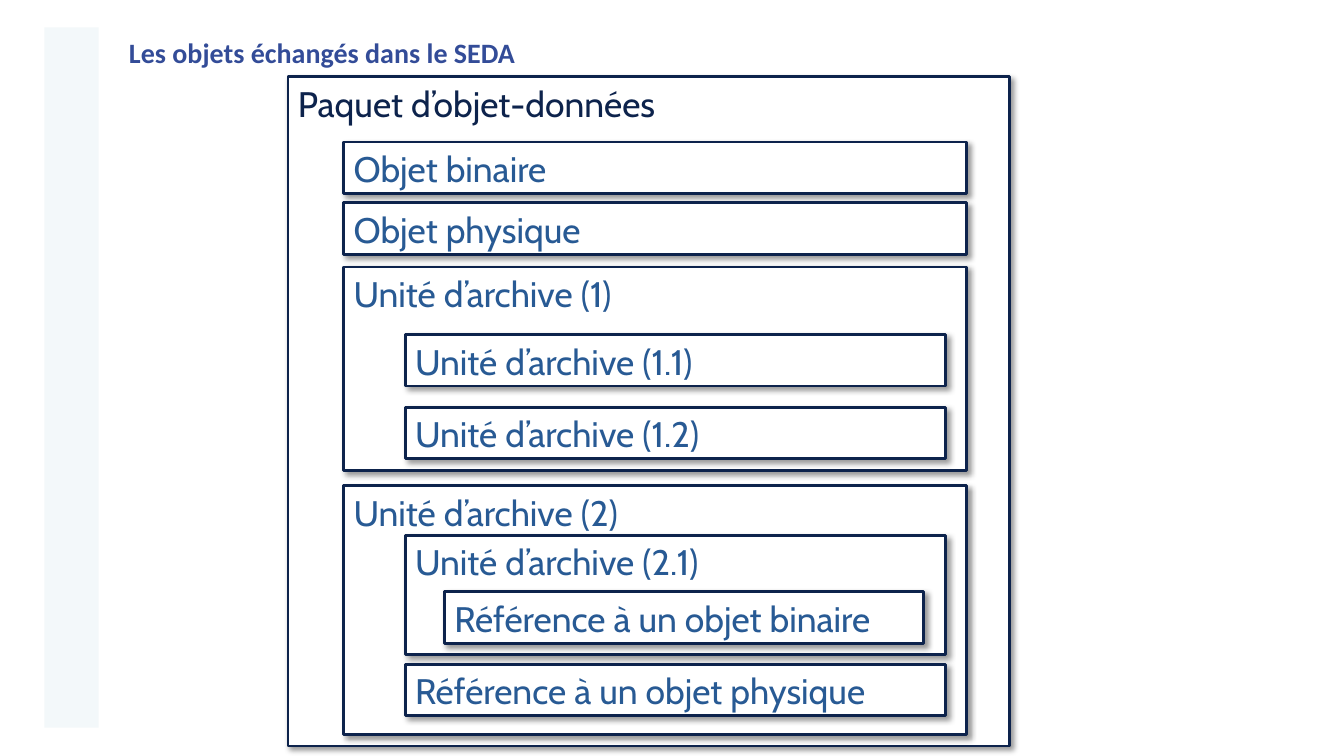
"""Build the slide showing the nested objects exchanged in SEDA."""
from lxml import etree
from pptx import Presentation
from pptx.dml.color import RGBColor
from pptx.enum.shapes import MSO_SHAPE
from pptx.enum.text import MSO_ANCHOR, MSO_AUTO_SIZE, PP_ALIGN
from pptx.oxml.ns import qn
from pptx.util import Cm, Pt

RECTANGLE = MSO_SHAPE.RECTANGLE
TOP, LEFT = MSO_ANCHOR.TOP, PP_ALIGN.LEFT
NO_AUTOFIT = MSO_AUTO_SIZE.NONE

TITLE = "Les objets échangés dans le SEDA"
ROW = 1.3
PACKAGE = ("Paquet d’objet-données", 1.93, 16.87, [
    ("Objet binaire", 3.58, ROW, []),
    ("Objet physique", 5.11, ROW, []),
    ("Unité d’archive (1)", 6.73, 5.13, [
        ("Unité d’archive (1.1)", 8.43, ROW, []),
        ("Unité d’archive (1.2)", 10.26, ROW, []),
    ]),
    ("Unité d’archive (2)", 12.24, 6.27, [
        ("Unité d’archive (2.1)", 13.49, 3, [
            ("Référence à un objet binaire", 14.91, ROW, []),
        ]),
        ("Référence à un objet physique", 16.74, ROW, []),
    ]),
])
LEVELS = [(7.26, 18.19), (8.66, 15.7), (10.21, 13.61), (11.2, 12.07)]

COLORS = {"band": "F3F8FA", "title": "334C98", "paper": "FFFFFF",
          "navy": "0D234C", "blue": "285A94", "shadow": "000000"}
TITLE_FONT = {"name": "Calibri", "size": Pt(20), "bold": True}
BOX_FONT = {"name": "Cabin", "size": Pt(25.3), "bold": False}
FRAME = {"margin_left": Cm(0.25), "margin_right": Cm(0.25),
         "margin_top": Cm(0.13), "margin_bottom": Cm(0.13),
         "word_wrap": True, "auto_size": NO_AUTOFIT, "vertical_anchor": TOP}
SHADOW = {"blurRad": Pt(4), "dist": Pt(3), "dir": 45 * 60000,
          "algn": "tl", "rotWithShape": 0}


def color(name):
    return RGBColor.from_string(COLORS[name])


def apply(target, values):
    for name, value in values.items():
        setattr(target, name, value)


def write(shape, text, font, color_name):
    frame = shape.text_frame
    apply(frame, FRAME)
    para = frame.paragraphs[0]
    para.alignment = LEFT
    span = para.add_run()
    span.text = text
    apply(span.font, font)
    span.font.color.rgb = color(color_name)


def add_rectangle(page, place, fill):
    box = page.shapes.add_shape(RECTANGLE, *map(Cm, place))
    box.shadow.inherit = False
    box.fill.solid()
    box.fill.fore_color.rgb = color(fill)
    return box


def cast_shadow(box):
    effects = box._element.spPr.find(qn("a:effectLst"))
    values = {name: str(value) for name, value in SHADOW.items()}
    shadow = etree.SubElement(effects, qn("a:outerShdw"), values)
    tint = etree.SubElement(shadow, qn("a:srgbClr"), val=COLORS["shadow"])
    etree.SubElement(tint, qn("a:alpha"), val="40000")


def add_nested(page, node, depth=0):
    label, top, height, children = node
    left, width = LEVELS[depth]
    box = add_rectangle(page, (left, top, width, height), "paper")
    box.line.color.rgb = color("navy")
    box.line.width = Pt(2)
    cast_shadow(box)
    write(box, label, BOX_FONT, "blue" if depth else "navy")
    for child in children:
        add_nested(page, child, depth + 1)


def main():
    deck = Presentation()
    deck.slide_width, deck.slide_height = Cm(33.87), Cm(19.05)
    page = deck.slides.add_slide(deck.slide_layouts[5])
    title = page.shapes.title
    apply(title, {"left": Cm(3), "top": Cm(0.76),
                  "width": Cm(29.9), "height": Cm(1.09)})
    write(title, TITLE, TITLE_FONT, "title")
    band = add_rectangle(page, (1.12, 0.69, 1.37, 17.65), "band")
    band.line.fill.background()
    add_nested(page, PACKAGE)
    deck.save("out.pptx")


if __name__ == "__main__":
    main()
